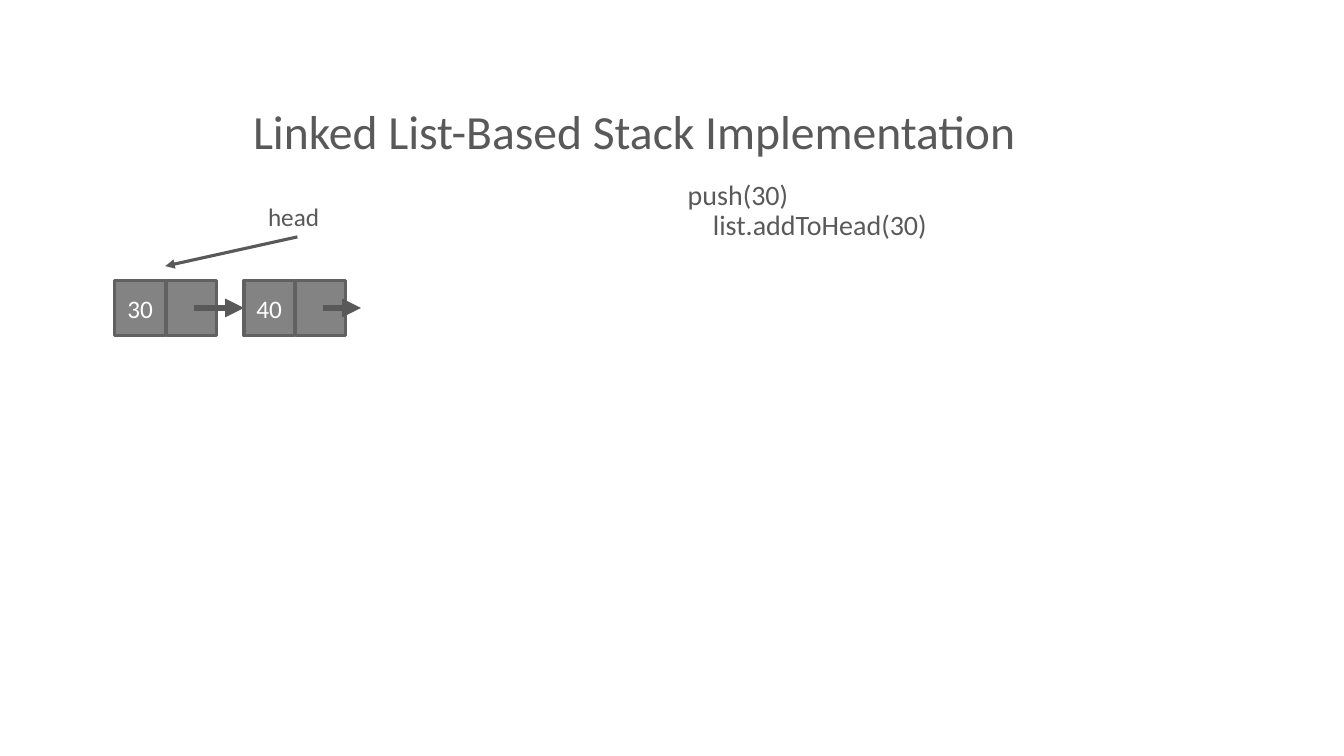
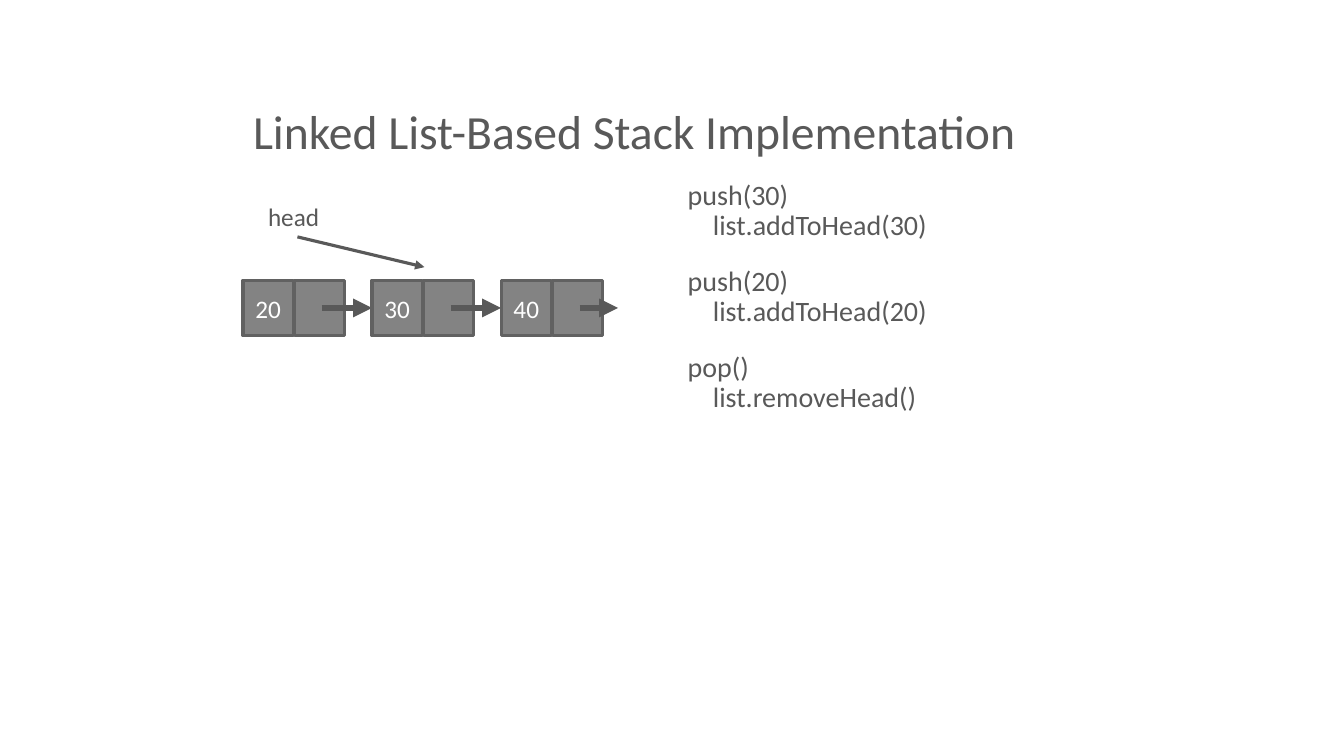
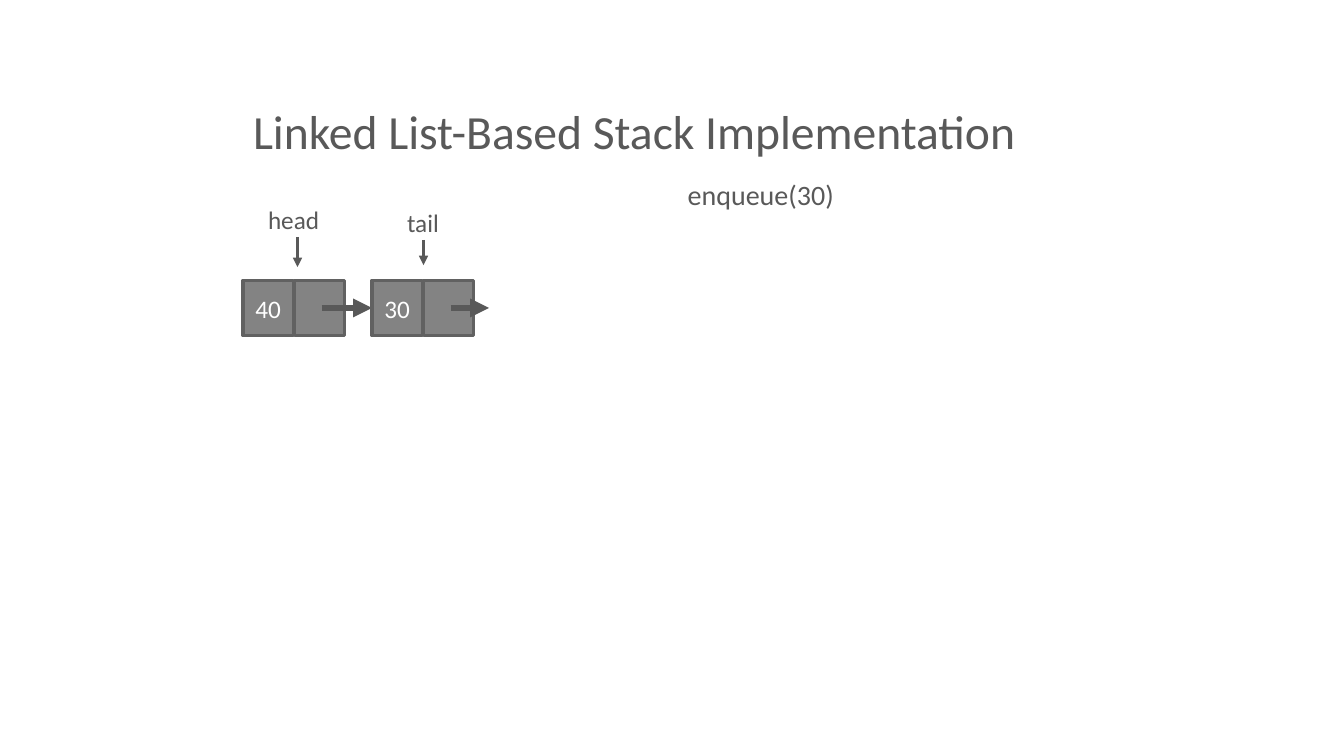
"""Build three slides that show linked list operations step by step."""
from lxml.etree import SubElement
from pptx import Presentation
from pptx.dml.color import RGBColor
from pptx.enum.shapes import MSO_CONNECTOR as Connector, MSO_SHAPE as Shape
from pptx.enum.text import MSO_ANCHOR as Anchor, MSO_AUTO_SIZE as AutoSize, PP_ALIGN as Align
from pptx.oxml.ns import qn
from pptx.util import Inches, Pt

COLORS = {"text": "595959", "cell": "838383", "border": "616161", "value": "FFFFFF"}
FONT = "Calibri"
TITLE = "Linked List-Based Stack Implementation"
NODE_TOP, CELL_WIDTH, CELL_HEIGHT = 2.78, 0.5, 0.55
LINK_OFFSET, ARROW_OFFSET, NODE_PITCH, LAST_ARROW = 0.51, 0.78, 1.28, 0.38


def color(name):
    return RGBColor.from_string(COLORS[name])


class ListDeck:
    def __init__(self):
        self.deck = Presentation()
        self.deck.slide_width, self.deck.slide_height = Inches(13.33), Inches(7.5)
        self.page = None

    def new_page(self, calls):
        self.page = self.deck.slides.add_slide(self.deck.slide_layouts[1])
        self.title(TITLE)
        self.code(calls)

    def place(self, box, left, top, width, height):
        box.left, box.top = Inches(left), Inches(top)
        box.width, box.height = Inches(width), Inches(height)

    def style(self, para, size, name="text", align=Align.LEFT):
        para.alignment = align
        for span in para.runs:
            span.font.name, span.font.size = FONT, Pt(size)
            span.font.color.rgb = color(name)

    def title(self, text):
        box = self.page.shapes.title
        self.place(box, 2.41, 0.33, 10.25, 1.31)
        frame = box.text_frame
        frame.text = text
        frame.auto_size, frame.vertical_anchor = AutoSize.NONE, Anchor.BOTTOM
        frame.paragraphs[0].line_spacing = 0.9
        self.style(frame.paragraphs[0], 34)

    def code(self, calls):
        box = self.page.placeholders[1]
        self.place(box, 6.67, 1.75, 6, 4.5)
        frame = box.text_frame
        frame.text = "\n".join(line for call in calls for line in call)
        frame.auto_size = AutoSize.NONE
        steps = [step for call in calls for step in range(len(call))]
        for para, step in zip(frame.paragraphs, steps):
            para.line_spacing = 0.9
            para.space_before = Pt(0 if step else 18)
            self.style(para, 20)
            properties = para._p.get_or_add_pPr()
            properties.set("marL", str(Inches(0.3 if step else 0.05)))
            properties.set("indent", "0")
            SubElement(properties, qn("a:buNone"))

    def label(self, text, left, top, width):
        box = self.page.shapes.add_textbox(Inches(left), Inches(top), Inches(width), Inches(0.4))
        frame = box.text_frame
        frame.text = text
        frame.word_wrap, frame.auto_size = False, AutoSize.SHAPE_TO_FIT_TEXT
        self.style(frame.paragraphs[0], 18)

    def arrow(self, start, end, weight=2.25):
        points = [Inches(length) for length in (*start, *end)]
        line = self.page.shapes.add_connector(Connector.STRAIGHT, *points)
        line.line.width = Pt(weight)
        line.line.color.rgb = color("text")
        SubElement(line.line._get_or_add_ln(), qn("a:tailEnd"), type="triangle")
        SubElement(line._element.spPr, qn("a:effectLst"))

    def cell(self, left, text=""):
        box = self.page.shapes.add_shape(
            Shape.RECTANGLE, Inches(left), Inches(NODE_TOP), Inches(CELL_WIDTH), Inches(CELL_HEIGHT))
        box.shadow.inherit = False
        box.fill.solid()
        box.fill.fore_color.rgb = color("cell")
        box.line.color.rgb = color("border")
        box.line.width = Pt(2.25)
        if text:
            box.text_frame.text = text
            box.text_frame.vertical_anchor = Anchor.MIDDLE
            self.style(box.text_frame.paragraphs[0], 18, "value", Align.CENTER)

    def nodes(self, left, values):
        middle = NODE_TOP + CELL_HEIGHT / 2
        for index, value in enumerate(values):
            node_left = left + index * NODE_PITCH
            is_last = index == len(values) - 1
            length = LAST_ARROW if is_last else NODE_PITCH - ARROW_OFFSET
            self.cell(node_left, value)
            self.cell(node_left + LINK_OFFSET)
            arrow_left = node_left + ARROW_OFFSET
            self.arrow((arrow_left, middle), (arrow_left + length, middle), 4.5)


def main():
    show = ListDeck()
    push_30 = ("push(30)", "list.addToHead(30)")
    push_20 = ("push(20)", "list.addToHead(20)")
    pop = ("pop()", "list.removeHead()")

    show.new_page([push_30])
    show.nodes(1.14, ["30", "40"])
    show.label("head", 2.56, 1.95, 0.78)
    show.arrow((2.95, 2.35), (1.64, 2.64))

    show.new_page([push_30, push_20, pop])
    show.nodes(2.41, ["20", "30", "40"])
    show.label("head", 2.56, 1.95, 0.78)
    show.arrow((2.95, 2.35), (4.21, 2.65))

    show.new_page([("enqueue(30)",)])
    show.nodes(2.41, ["40", "30"])
    show.label("head", 2.56, 1.98, 0.78)
    show.arrow((2.95, 2.35), (2.95, 2.65))
    show.label("tail", 3.94, 2.01, 0.56)
    show.arrow((4.2, 2.38), (4.2, 2.63))

    show.deck.save("out.pptx")


if __name__ == "__main__":
    main()
